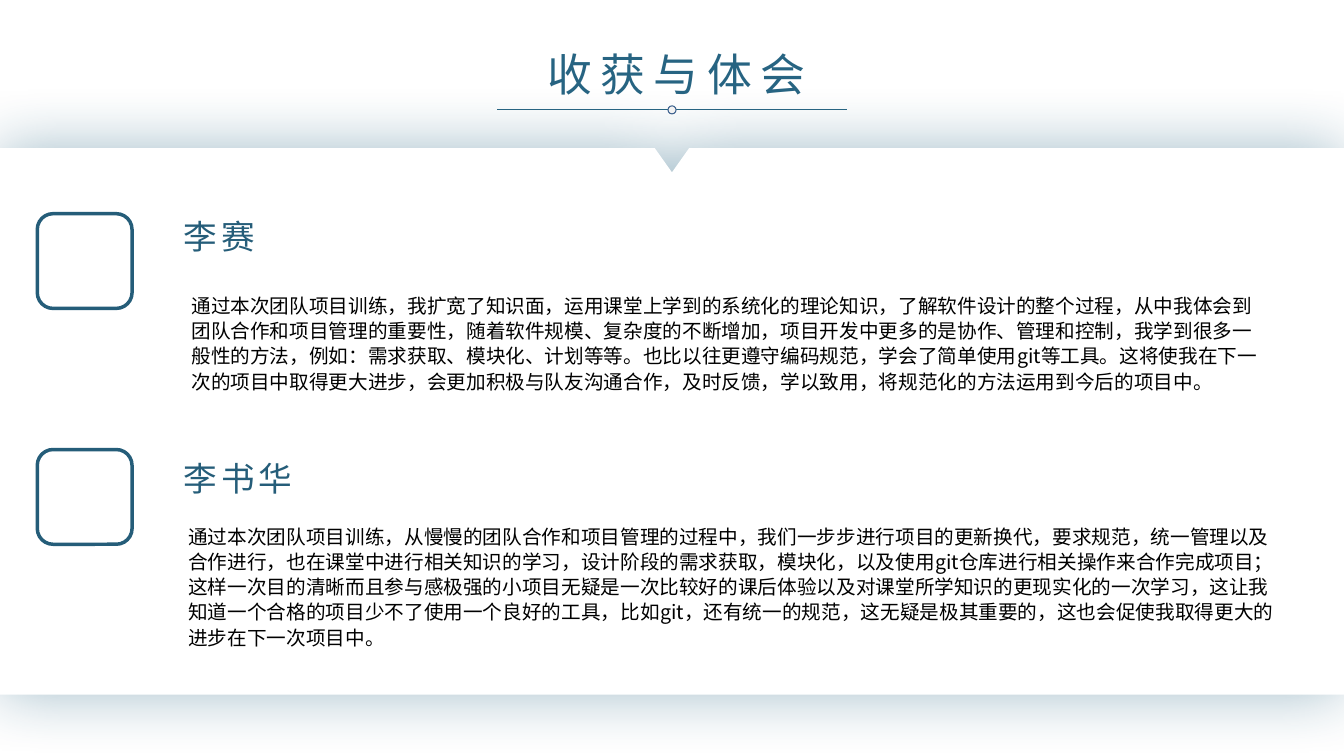
from lxml import etree
from pptx import Presentation
from pptx.dml.color import RGBColor
from pptx.enum.shapes import MSO_CONNECTOR, MSO_SHAPE
from pptx.enum.text import MSO_ANCHOR, MSO_AUTO_SIZE, PP_ALIGN
from pptx.oxml.ns import qn
from pptx.util import Inches, Pt

STRAIGHT = MSO_CONNECTOR.STRAIGHT
ROUNDED, OVAL = MSO_SHAPE.ROUNDED_RECTANGLE, MSO_SHAPE.OVAL
TOP, CENTER, LEFT = MSO_ANCHOR.TOP, PP_ALIGN.CENTER, PP_ALIGN.LEFT
NO_FIT = MSO_AUTO_SIZE.NONE

WIDTH, HEIGHT = 13.33, 7.5
FONT = "Noto Sans CJK SC"
COLORS = {
    "title": "276482", "name": "255D79", "text": "000000", "panel": "FFFFFF",
    "shadow": "165878", "dot": "F2F2F2", "dot_line": "3A5F8C",
}
FORMATS = {
    "title": {"size": 32, "color": "title", "tracking": 6, "align": CENTER},
    "name": {"size": 24, "color": "name", "tracking": 3, "align": LEFT},
    "text": {"size": 14, "color": "text", "leading": 18, "align": LEFT},
}
# Each member: name, text, and (left, top, width, height) of the text in the row
MEMBERS = [
    ("李赛",
     "通过本次团队项目训练，我扩宽了知识面，运用课堂上学到的系统化的理论知识，"
     "了解软件设计的整个过程，从中我体会到团队合作和项目管理的重要性，"
     "随着软件规模、复杂度的不断增加，项目开发中更多的是协作、管理和控制，"
     "我学到很多一般性的方法，例如：需求获取、模块化、计划等等。"
     "也比以往更遵守编码规范，学会了简单使用git等工具。"
     "这将使我在下一次的项目中取得更大进步，会更加积极与队友沟通合作，及时反馈，"
     "学以致用，将规范化的方法运用到今后的项目中。",
     -0.03, (1.43, 0.73, 10.91, 1.09)),
    ("李书华",
     "通过本次团队项目训练，从慢慢的团队合作和项目管理的过程中，"
     "我们一步步进行项目的更新换代，要求规范，统一管理以及合作进行，"
     "也在课堂中进行相关知识的学习，设计阶段的需求获取，模块化，"
     "以及使用git仓库进行相关操作来合作完成项目；"
     "这样一次目的清晰而且参与感极强的小项目无疑是一次比较好的课后体验"
     "以及对课堂所学知识的更现实化的一次学习，"
     "这让我知道一个合格的项目少不了使用一个良好的工具，比如git，"
     "还有统一的规范，这无疑是极其重要的，"
     "这也会促使我取得更大的进步在下一次项目中。",
     0.03, (1.4, 0.68, 11.04, 1.35)),
]


def color(key):
    return RGBColor.from_string(COLORS[key])


def write(shape, text, kind):
    """Fill a text shape with one formatted paragraph."""
    style = FORMATS[kind]
    frame = shape.text_frame
    for key, value in {"word_wrap": True, "auto_size": NO_FIT,
                       "vertical_anchor": TOP}.items():
        setattr(frame, key, value)
    para = frame.paragraphs[0]
    para.alignment = style["align"]
    if "leading" in style:
        para.line_spacing = Pt(style["leading"])
    span = para.add_run()
    span.text = text
    for key, value in {"name": FONT, "size": Pt(style["size"])}.items():
        setattr(span.font, key, value)
    span.font.color.rgb = color(style["color"])
    props = span._r.get_or_add_rPr()
    etree.SubElement(props, qn("a:ea")).set("typeface", FONT)
    if "tracking" in style:
        props.set("spc", str(style["tracking"] * 100))


def add_text(page, box, text, kind):
    write(page.shapes.add_textbox(*map(Inches, box)), text, kind)


def add_outline(page, preset, box, line, weight, fill=None):
    shape = page.shapes.add_shape(preset, *map(Inches, box))
    shape.shadow.inherit = False
    if fill:
        shape.fill.solid()
        shape.fill.fore_color.rgb = color(fill)
    else:
        shape.fill.background()
    shape.line.color.rgb = color(line)
    shape.line.width = Pt(weight)


def add_panel(page, box):
    """Full-width panel with a notch at the top centre and a soft glow."""
    left, top, width, height = box
    middle, right, bottom = left + width / 2, left + width, top + height
    half, depth = 0.17, 0.24
    corners = [(left, top), (middle - half, top), (middle, top + depth),
               (middle + half, top), (right, top), (right, bottom), (left, bottom)]
    points = [(Inches(x), Inches(y)) for x, y in corners]
    builder = page.shapes.build_freeform(*points[0], scale=1.0)
    builder.add_line_segments(points[1:], close=True)
    panel = builder.convert_to_shape()
    panel.fill.solid()
    panel.fill.fore_color.rgb = color("panel")
    panel.line.fill.background()
    panel.shadow.inherit = False
    effects = panel._element.spPr.find(qn("a:effectLst"))
    glow = etree.SubElement(effects, qn("a:outerShdw"), blurRad=str(Pt(47)),
                            dist="0", dir="0", algn="ctr", rotWithShape="0")
    tint = etree.SubElement(glow, qn("a:srgbClr"), val=COLORS["shadow"])
    etree.SubElement(tint, qn("a:alpha"), val="40000")


def add_heading(page, box):
    """Title placeholder with a ruled line and a dot below it."""
    left, top, width, height = box
    title = page.shapes.title
    for key, value in zip(("left", "top", "width", "height"), box):
        setattr(title, key, Inches(value))
    write(title, "收获与体会", "title")
    page.shapes._spTree.append(title._element)  # in front of the panel glow

    middle, rule_y = WIDTH / 2, top + height + 0.04
    half, dot = 1.735, 0.08
    rule = page.shapes.add_connector(
        STRAIGHT, Inches(middle - half), Inches(rule_y),
        Inches(middle + half), Inches(rule_y))
    rule.line.color.rgb = color("title")
    rule.line.width = Pt(0.75)
    etree.SubElement(rule._element.spPr, qn("a:effectLst"))
    add_outline(page, OVAL, (middle - dot / 2, rule_y - dot / 2, dot, dot),
                "dot_line", 0.75, "dot")


def add_member(page, origin, member):
    """Rounded frame, name and reflection of one member."""
    left, top = origin
    name, text, name_shift, (dx, dy, width, height) = member
    add_outline(page, ROUNDED, (left, top, 0.94, 0.94), "name", 2.5)
    add_text(page, (left + 1.35, top + name_shift, 1.84, 0.5), name, "name")
    add_text(page, (left + dx, top + dy, width, height), text, "text")


def main():
    deck = Presentation()
    deck.slide_width, deck.slide_height = Inches(WIDTH), Inches(HEIGHT)
    page = deck.slides.add_slide(deck.slide_layouts[5])
    add_panel(page, (0, 1.47, WIDTH, 5.42))
    for row, member in enumerate(MEMBERS):
        add_member(page, (0.37, 2.12 + row * 2.34), member)
    add_heading(page, (4.7, 0.41, 4.02, 0.64))
    deck.save("out.pptx")


if __name__ == "__main__":
    main()
